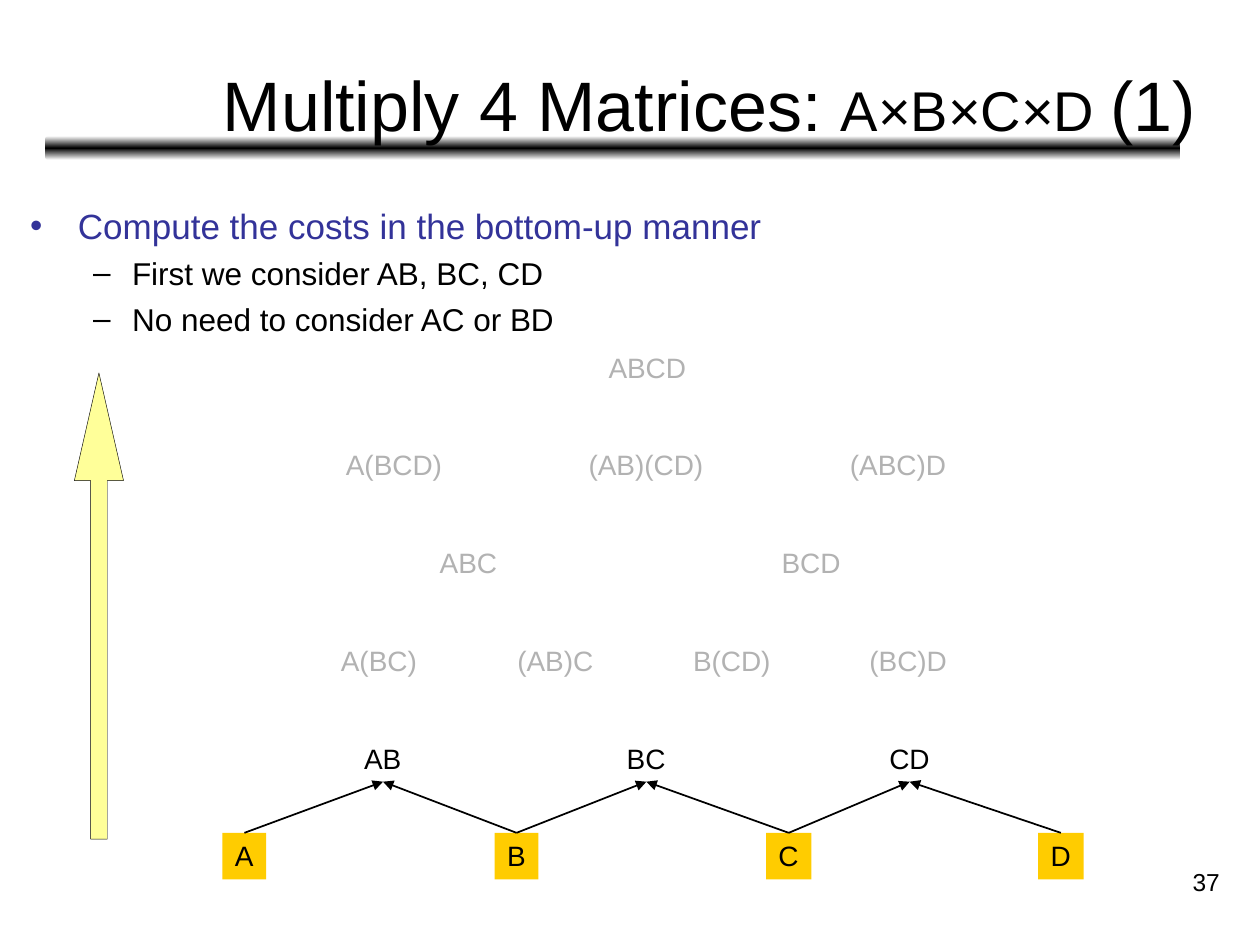
import dataclasses

import pptx
import pptx.dml.color
import pptx.enum.shapes
import pptx.enum.text
import pptx.oxml
import pptx.oxml.ns
import pptx.util
from pptx.util import Inches

SHAPES = pptx.enum.shapes.MSO_SHAPE
ALIGN = pptx.enum.text.PP_ALIGN
ANCHOR = pptx.enum.text.MSO_ANCHOR


@dataclasses.dataclass(frozen=True)
class Theme:
    font: str = "Arial"
    black: str = "000000"
    white: str = "FFFFFF"
    heading: str = "333399"
    pending: str = "B2B2B2"
    matrix: str = "FFCC00"
    arrow: str = "FFFF99"
    title_size: int = 40
    formula_size: int = 32
    point_size: int = 20
    subpoint_size: int = 18
    label_size: int = 16
    number_size: int = 14


THEME = Theme()

# Arial letter widths as parts of the type size
LETTER_WIDTHS = {"A": 0.667, "B": 0.667, "C": 0.722, "D": 0.722, "(": 0.333, ")": 0.333}

# Rows from top to bottom: labels, first centre, step between centres, colour
PRODUCT_ROWS = [
    (["ABCD"], 3.37, 0, THEME.pending),
    (["A(BCD)", "(AB)(CD)", "(ABC)D"], 1.36, 2.0, THEME.pending),
    (["ABC", "BCD"], 1.95, 2.72, THEME.pending),
    (["A(BC)", "(AB)C", "B(CD)", "(BC)D"], 1.24, 1.4, THEME.pending),
    (["AB", "BC", "CD"], 1.27, 2.09, THEME.black),
    (["A", "B", "C", "D"], 0.17, 2.16, THEME.black),
]


def rgb(color):
    return pptx.dml.color.RGBColor.from_string(color)


def style(font, size, color):
    font.name = THEME.font
    font.size = pptx.util.Pt(size)
    font.color.rgb = rgb(color)


def add_xml(parent, xml):
    namespace = pptx.oxml.ns.nsdecls("a")
    parent.append(pptx.oxml.parse_xml(xml.replace("/>", f" {namespace}/>", 1) if xml.count("<") == 1
                                      else xml.replace(">", f" {namespace}>", 1)))


def add_text_box(slide, left, top, width, height):
    box = slide.shapes.add_textbox(Inches(left), Inches(top), Inches(width), Inches(height))
    box.text_frame.word_wrap = True
    return box


def add_rule(slide, left, top, width, height):
    rule = slide.shapes.add_shape(
        SHAPES.ROUNDED_RECTANGLE, Inches(left), Inches(top), Inches(width), Inches(height))
    rule.line.fill.background()
    rule.fill.gradient()
    gradient = rule.element.spPr.find(pptx.oxml.ns.qn("a:gradFill"))
    for child in list(gradient):
        gradient.remove(child)
    colors = [(0, THEME.white), (50, THEME.black), (100, THEME.white)]
    stops = "".join(f'<a:gs pos="{position * 1000}"><a:srgbClr val="{color}"/></a:gs>'
                    for position, color in colors)
    add_xml(gradient, f"<a:gsLst>{stops}</a:gsLst>")
    add_xml(gradient, '<a:lin ang="5400000" scaled="0"/>')
    rule.shadow.inherit = False


def add_title(slide, left, top, width, height):
    frame = add_text_box(slide, left, top, width, height).text_frame
    frame.vertical_anchor = ANCHOR.MIDDLE
    paragraph = frame.paragraphs[0]
    paragraph.alignment = ALIGN.CENTER
    for text, size in [("Multiply 4 Matrices: ", THEME.title_size),
                       ("A×B×C×D ", THEME.formula_size),
                       ("(1)", THEME.title_size)]:
        run = paragraph.add_run()
        run.text = text
        style(run.font, size, THEME.black)


def add_points(slide, left, top, width, height):
    frame = add_text_box(slide, left, top, width, height).text_frame
    frame.margin_top = Inches(0.07)
    points = [("Compute the costs in the bottom-up manner", 0),
              ("First we consider AB, BC, CD", 1),
              ("No need to consider AC or BD", 1)]
    # Bullet, text indent, hanging indent, size, colour and space before
    levels = [("•", 0.38, 0.38, THEME.point_size, THEME.heading, 0),
              ("–", 0.81, 0.31, THEME.subpoint_size, THEME.black, 4.5)]
    for index, (text, level) in enumerate(points):
        bullet, indent, hanging, size, color, space = levels[level]
        paragraph = frame.paragraphs[0] if index == 0 else frame.add_paragraph()
        paragraph.text = text
        paragraph.level = level
        paragraph.space_before = pptx.util.Pt(space)
        properties = paragraph._p.get_or_add_pPr()
        properties.set("marL", str(Inches(indent)))
        properties.set("indent", str(-Inches(hanging)))
        add_xml(properties, f'<a:buClr><a:srgbClr val="{color}"/></a:buClr>')
        add_xml(properties, f'<a:buFont typeface="{THEME.font}"/>')
        add_xml(properties, f'<a:buChar char="{bullet}"/>')
        style(paragraph.font, size, color)


def add_label(slide, text, center, top, color, is_matrix):
    width = 0.2 + sum(LETTER_WIDTHS[letter] for letter in text) * THEME.label_size / 72
    place = [Inches(length) for length in (center - width / 2, top, width, 0.37)]
    if is_matrix:
        label = slide.shapes.add_shape(SHAPES.RECTANGLE, *place)
        label.fill.solid()
        label.fill.fore_color.rgb = rgb(THEME.matrix)
        label.line.fill.background()
        label.shadow.inherit = False
    else:
        label = slide.shapes.add_textbox(*place)
    frame = label.text_frame
    frame.word_wrap = False
    frame.auto_size = pptx.enum.text.MSO_AUTO_SIZE.SHAPE_TO_FIT_TEXT
    frame.vertical_anchor = ANCHOR.TOP
    paragraph = frame.paragraphs[0]
    paragraph.text = text
    paragraph.alignment = ALIGN.LEFT
    style(paragraph.font, THEME.label_size, color)
    return label


def connect(slide, matrix, product):
    link = slide.shapes.add_connector(pptx.enum.shapes.MSO_CONNECTOR.STRAIGHT, 0, 0, 0, 0)
    link.begin_connect(matrix, 0)
    link.end_connect(product, 2)
    link.line.color.rgb = rgb(THEME.black)
    link.line.width = pptx.util.Pt(1)
    add_xml(link.line._get_or_add_ln(), '<a:tailEnd type="triangle"/>')
    add_xml(link.element.spPr, "<a:effectLst/>")


def add_products(slide, left, top, row_step):
    labels = {}
    for row, (texts, first, step, color) in enumerate(PRODUCT_ROWS):
        for column, text in enumerate(texts):
            labels[text] = add_label(slide, text, left + first + column * step,
                                     top + row * row_step, color, len(text) == 1)
    # Each pair is reached from its two matrices
    for pair in PRODUCT_ROWS[-2][0]:
        for matrix in pair:
            connect(slide, labels[matrix], labels[pair])


def add_direction_arrow(slide, left, top, width, height):
    arrow = slide.shapes.add_shape(
        SHAPES.UP_ARROW, Inches(left), Inches(top), Inches(width), Inches(height))
    arrow.adjustments[0] = 0.34
    arrow.adjustments[1] = 2.19
    arrow.fill.solid()
    arrow.fill.fore_color.rgb = rgb(THEME.arrow)
    arrow.line.color.rgb = rgb(THEME.black)
    arrow.line.width = pptx.util.Pt(0.25)
    arrow.shadow.inherit = False


def add_slide_number(slide, left, top, width, height):
    paragraph = add_text_box(slide, left, top, width, height).text_frame.paragraphs[0]
    paragraph.text = "37"
    paragraph.alignment = ALIGN.RIGHT
    style(paragraph.font, THEME.number_size, THEME.black)


def main():
    deck = pptx.Presentation()
    deck.slide_width, deck.slide_height = Inches(10), Inches(7.5)
    slide = deck.slides.add_slide(deck.slide_layouts[6])
    add_rule(slide, 0.36, 1.08, 9.01, 0.19)
    add_slide_number(slide, 7.7, 6.83, 2.08, 0.5)
    add_title(slide, 1.26, 0.44, 8.74, 0.76)
    add_points(slide, 0.14, 1.55, 9.36, 1.18)
    add_products(slide, left=1.77, top=2.73, row_step=0.776)
    add_direction_arrow(slide, 0.59, 2.96, 0.39, 3.7)
    deck.save("out.pptx")


if __name__ == "__main__":
    main()
